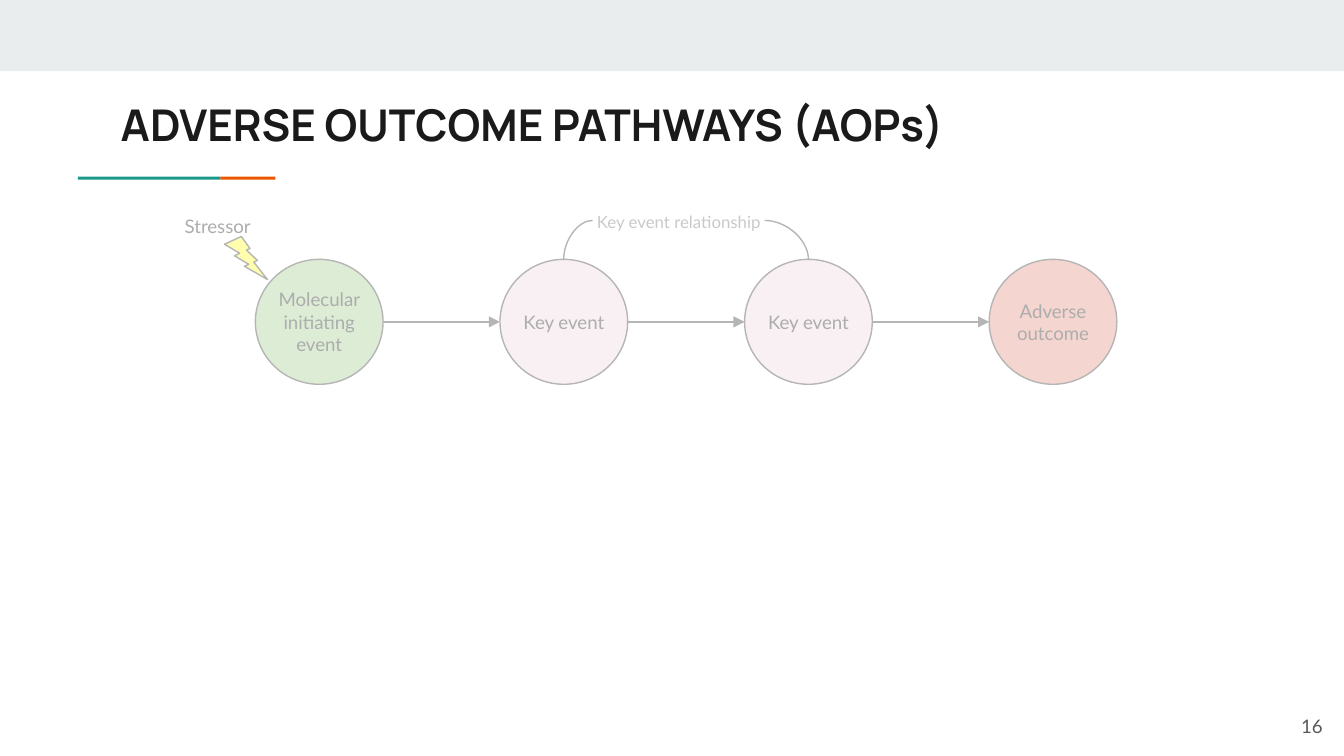
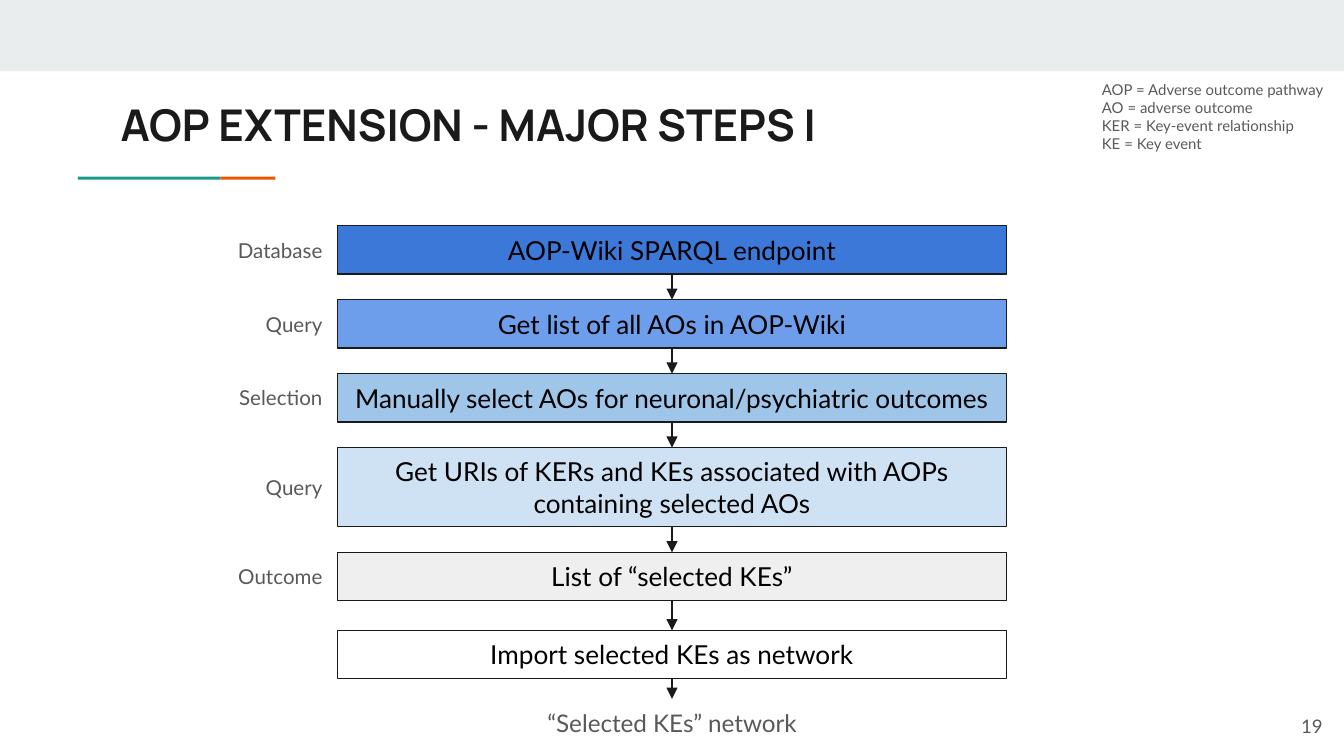
from dataclasses import dataclass

from lxml import etree
from pptx import Presentation
from pptx.dml.color import RGBColor
from pptx.enum.shapes import MSO_CONNECTOR, MSO_SHAPE
from pptx.enum.text import MSO_ANCHOR, PP_ALIGN
from pptx.oxml.ns import qn
from pptx.util import Inches, Pt

RECT, OVAL, BOLT = MSO_SHAPE.RECTANGLE, MSO_SHAPE.OVAL, MSO_SHAPE.LIGHTNING_BOLT
LINE, CURVE = MSO_CONNECTOR.STRAIGHT, MSO_CONNECTOR.CURVE
LEFT, MID, RIGHT = PP_ALIGN.LEFT, PP_ALIGN.CENTER, PP_ALIGN.RIGHT
TOP, CENTER = MSO_ANCHOR.TOP, MSO_ANCHOR.MIDDLE

# Grid: 100 columns by 56.25 rows of square cells
COLS, ROWS = 100, 56.25
CELL = Inches(0.1)


@dataclass(frozen=True)
class Theme:
    head: str = "Manrope"
    body: str = "Lato"
    ink: str = "1A1A1A"
    black: str = "000000"
    gray: str = "595959"
    white: str = "FFFFFF"
    band: str = "E9EDEE"
    teal: str = "1A9988"
    orange: str = "EB5600"
    green: str = "93C47D"
    pink: str = "EAD1DC"
    red: str = "DD7E6B"
    yellow: str = "FFFF00"
    title: float = 23.4
    step: float = 14
    end: float = 13
    tag: float = 11
    small: float = 10
    link: float = 9
    note: float = 8
    rule: float = 0.75


T = Theme()

# Flow steps: label, text, fill, height, gap to the next step
STEPS = [
    ("Database", "AOP-Wiki SPARQL endpoint", "3C78D8", 3.6, 1.9),
    ("Query", "Get list of all AOs in AOP-Wiki", "6D9EEB", 3.6, 1.9),
    ("Selection", "Manually select AOs for neuronal/psychiatric outcomes",
     "9FC5E8", 3.6, 1.9),
    ("Query", "Get URIs of KERs and KEs associated with AOPs containing selected AOs",
     "CFE2F3", 5.9, 1.9),
    ("Outcome", "List of “selected KEs”", "EFEFEF", 3.6, 2.2),
    (None, "Import selected KEs as network", T.white, 3.6, 1.5),
]

EVENTS = [
    ("Molecular initiating event", T.green),
    ("Key event", T.pink),
    ("Key event", T.pink),
    ("Adverse outcome", T.red),
]

TERMS = [
    "AOP = Adverse outcome pathway",
    "AO = adverse outcome",
    "KER = Key-event relationship",
    "KE = Key event",
]


def cells(*nums):
    return [round(n * CELL) for n in nums]


def rgb(code):
    return RGBColor.from_string(code)


def write(shape, lines, size, color=T.black, align=MID, anchor=CENTER,
          pad=0, font=T.body, bold=False):
    frame = shape.text_frame
    edge = round(pad * CELL)
    form = {"word_wrap": True, "vertical_anchor": anchor}
    form.update({f"margin_{side}": edge for side in ("left", "right", "top", "bottom")})
    for name, value in form.items():
        setattr(frame, name, value)
    for i, line in enumerate(lines):
        para = frame.add_paragraph() if i else frame.paragraphs[0]
        para.alignment = align
        run = para.add_run()
        run.text = line
        run.font.color.rgb = rgb(color)
        for name, value in {"name": font, "size": Pt(size), "bold": bold}.items():
            setattr(run.font, name, value)


def text(slide, area, lines, size, **style):
    write(slide.shapes.add_textbox(*cells(*area)), lines, size, **style)


def form(slide, kind, area, fill, edge=True):
    shape = slide.shapes.add_shape(kind, *cells(*area))
    shape.shadow.inherit = False
    shape.fill.solid()
    shape.fill.fore_color.rgb = rgb(fill)
    if edge:
        shape.line.color.rgb = rgb(T.ink)
        shape.line.width = Pt(T.rule)
    else:
        shape.line.fill.background()
    return shape


def link(slide, start, end, kind=LINE):
    wire = slide.shapes.add_connector(kind, *cells(*start, *end))
    wire.line.color.rgb = rgb(T.ink)
    wire.line.width = Pt(T.rule)
    props = wire._element.spPr
    etree.SubElement(props, qn("a:effectLst"))
    if kind == CURVE:
        # A single bend: leaves level, arrives upright
        props.find(qn("a:prstGeom")).set("prst", "curvedConnector2")
    else:
        etree.SubElement(props.find(qn("a:ln")), qn("a:tailEnd"), type="triangle")


def veil(slide, area, alpha):
    shape = form(slide, RECT, area, T.white, edge=False)
    color = shape._element.spPr.find(qn("a:solidFill"))[0]
    etree.SubElement(color, qn("a:alpha"), val=str(alpha * 1000))


def base(deck, title, page):
    slide = deck.slides.add_slide(deck.slide_layouts[6])
    # Top band and two-colour rule under the title
    for area, fill in [((0, 0, COLS, 5.3), T.band),
                       ((5.8, 13.15, 10.6, 0.22), T.teal),
                       ((16.4, 13.15, 4.1, 0.22), T.orange)]:
        form(slide, RECT, area, fill, edge=False)
    text(slide, (8, 6.3, 84.1, 5.9), [title], T.title, color=T.ink, align=LEFT,
         anchor=TOP, pad=1, font=T.head, bold=True)
    text(slide, (93.4, 51.9, 6, 4.3), [str(page)], T.small, color=T.gray,
         align=RIGHT, pad=1)
    return slide


def pathway(slide):
    left, top, wide, tall, pitch = 19, 19.3, 9.5, 9.3, 18.2
    mid = top + tall / 2

    # Events and the arrows between them
    for i, (name, fill) in enumerate(EVENTS):
        x = left + i * pitch
        write(form(slide, OVAL, (x, top, wide, tall), fill), [name], T.small)
        if i:
            link(slide, (x - pitch + wide, mid), (x, mid))

    # Stressor
    form(slide, BOLT, (16.7, 17.6, 3.2, 3.2), T.yellow)
    text(slide, (12.7, 15.6, 7, 2.4), ["Stressor"], T.small)

    # Bridge between the two key events
    text(slide, (44.1, 15.6, 12.8, 1.8), ["Key event relationship"], T.link,
         color=T.gray)
    for i, x in [(1, 44.1), (2, 56.9)]:
        link(slide, (x, 16.4), (left + i * pitch + wide / 2, top), CURVE)

    # Fade the whole diagram
    veil(slide, (11.3, 14.3, 78.5, 14.9), 68)


def flow(slide):
    left, wide, y = 25.1, 49.8, 16.8
    mid = COLS / 2
    for tag, name, fill, tall, gap in STEPS:
        box = form(slide, RECT, (left, y, wide, tall), fill)
        write(box, [name], T.step, pad=1)
        if tag:
            text(slide, (15.4, y + tall / 2 - 1, 8.6, 2), [tag], T.tag,
                 color=T.gray, align=RIGHT)
        link(slide, (mid, y + tall), (mid, y + tall + gap))
        y += tall + gap
    text(slide, (37.4, y, 25.2, 3.5), ["“Selected KEs” network"], T.end,
         color=T.gray)


def main():
    deck = Presentation()
    deck.slide_width, deck.slide_height = cells(COLS, ROWS)

    pathway(base(deck, "ADVERSE OUTCOME PATHWAYS (AOPs)", 16))

    steps = base(deck, "AOP EXTENSION - MAJOR STEPS I", 19)
    text(steps, (81, 5.7, 19.2, 5.9), TERMS, T.note, color=T.gray, align=LEFT, pad=1)
    flow(steps)

    deck.save("out.pptx")


if __name__ == "__main__":
    main()
